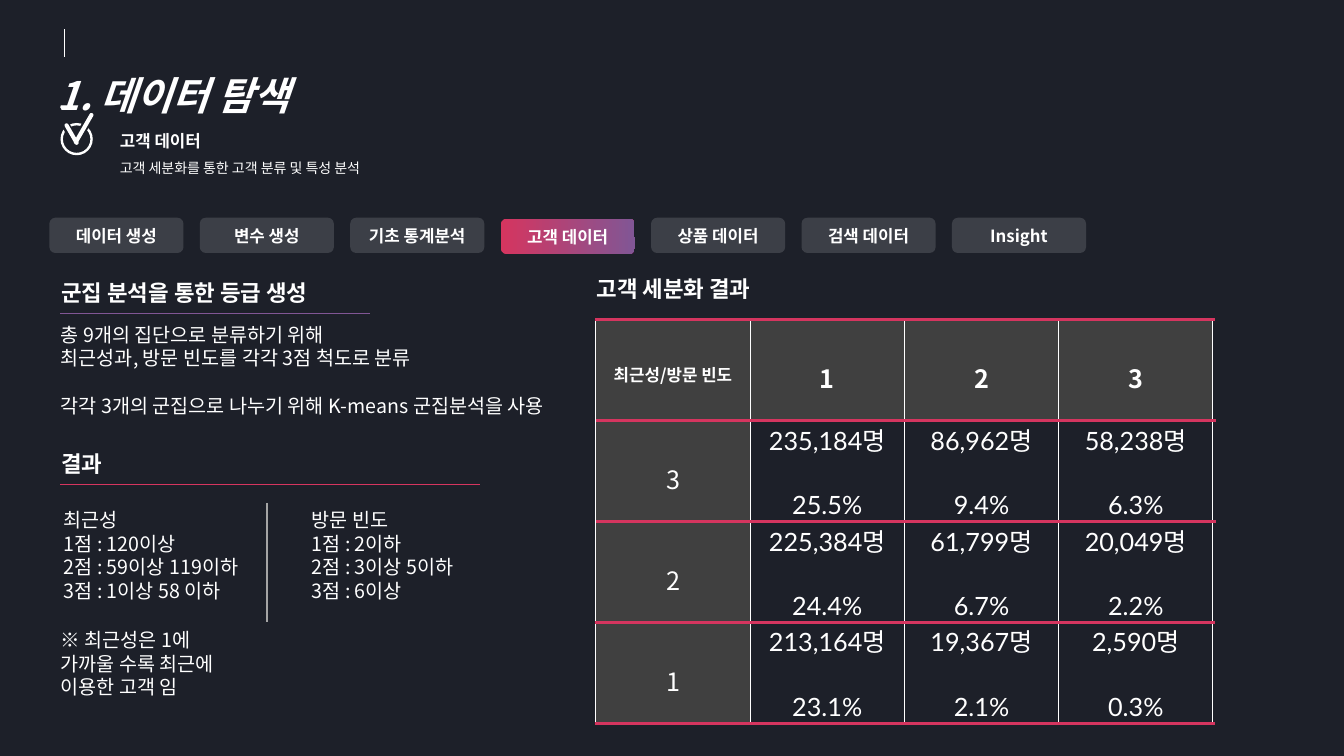
"""Build the customer data slide of the data exploration section."""
import pptx
import pptx.util
import pptx.dml.color
import pptx.enum.shapes
import pptx.enum.text
import pptx.oxml

Inches, Pt = pptx.util.Inches, pptx.util.Pt
KIND = pptx.enum.shapes.MSO_SHAPE
ALIGN = pptx.enum.text.PP_ALIGN
ANCHOR = pptx.enum.text.MSO_ANCHOR
NS = 'xmlns:a="http://schemas.openxmlformats.org/drawingml/2006/main"'


class Theme:
    """Colours, fonts and type sizes."""
    back, white, cell = "1D2029", "FFFFFF", "404040"
    red, plum, grey = "D5355F", "815695", "A5A5A5"
    sans, digit = "Noto Sans CJK KR", "Lato"
    title, num, head, body, tab, note = 28, 18, 16, 14, 12, 10


TITLE = "1. 데이터 탐색"
TOPIC = "고객 데이터"
NOTE = "고객 세분화를 통한 고객 분류 및 특성 분석"
TABS = ["데이터 생성", "변수 생성", "기초 통계분석", TOPIC,
        "상품 데이터", "검색 데이터", "Insight"]
HEADS = [
    ("군집 분석을 통한 등급 생성", (0.49, 2.67, 3.47, 0.46)),
    ("결과", (0.49, 4.37, 2.67, 0.46)),
    ("고객 세분화 결과", (5.8, 2.63, 3.47, 0.46)),
]
PLAN = ["총 9개의 집단으로 분류하기 위해",
        "최근성과, 방문 빈도를 각각 3점 척도로 분류",
        "각각 3개의 군집으로 나누기 위해 K-means 군집분석을 사용"]
NOTES = [
    (["최근성", "1점 : 120이상", "2점 : 59이상 119이하", "3점 : 1이상 58 이하"],
     (0.49, 4.97, 2.16, 1.08)),
    (["방문 빈도", "1점 : 2이하", "2점 : 3이상 5이하", "3점 : 6이상"],
     (2.95, 4.97, 2.02, 1.08)),
    (["※ 최근성은 1에", "가까울 수록 최근에 이용한 고객 임"],
     (0.46, 6.04, 2.16, 1.08)),
]
GRID = [
    ["최근성/방문 빈도", "1", "2", "3"],
    ["3", ("235,184명", "25.5%"), ("86,962명", "9.4%"), ("58,238명", "6.3%")],
    ["2", ("225,384명", "24.4%"), ("61,799명", "6.7%"), ("20,049명", "2.2%")],
    ["1", ("213,164명", "23.1%"), ("19,367명", "2.1%"), ("2,590명", "0.3%")],
]
RULES = [
    ((0.64, 0.29, 0.64, 0.57), Theme.white, 0.5),
    ((0.6, 3.11, 3.67, 3.11), Theme.plum, 0.5),
    ((0.6, 4.81, 4.76, 4.81), Theme.red, 0.5),
    ((2.65, 4.99, 2.65, 6.17), Theme.grey, 1.5),
]
CHECK = [
    ((0.6, 1.22, 0.32, 0.32), KIND.DONUT, 0.074, 0, Theme.white),
    ((0.6, 1, 0.08, 0.44), KIND.ROUNDED_RECTANGLE, 0.5, 330, Theme.back),
    ((0.82, 1, 0.08, 0.44), KIND.ROUNDED_RECTANGLE, 0.5, 30, Theme.back),
    ((0.81, 1.1, 0.04, 0.35), KIND.ROUNDED_RECTANGLE, 0.5, 30, Theme.white),
    ((0.69, 1.21, 0.04, 0.24), KIND.ROUNDED_RECTANGLE, 0.5, 330, Theme.white),
]


def paint(code):
    return pptx.dml.color.RGBColor.from_string(code)


def write(frame, lines, size=Theme.body, bold=False, slant=False,
          face=Theme.sans, align=ALIGN.LEFT, lead=1.2, gaps=None):
    """Fill a text frame; gaps maps a line index to its space before."""
    frame.word_wrap = True
    for i, line in enumerate(lines):
        para = frame.paragraphs[0] if i == 0 else frame.add_paragraph()
        para.alignment = align
        run = para.add_run()
        run.text, points = line if isinstance(line, tuple) else (line, size)
        para.line_spacing = Pt(round(points * lead, 1))
        if gaps and i in gaps:
            para.space_before = Pt(gaps[i])
        font = run.font
        font.size, font.name = Pt(points), face
        font.bold, font.italic = bold and i == 0, slant
        font.color.rgb = paint(Theme.white)
        props = run._r.get_or_add_rPr()
        props.append(pptx.oxml.parse_xml(f'<a:ea {NS} typeface="{Theme.sans}"/>'))


def shape(home, box, kind=KIND.ROUNDED_RECTANGLE, bend=None, fill=None):
    item = home.add_shape(kind, *map(Inches, box))
    item.shadow.inherit = False
    item.line.fill.background()
    if bend is not None:
        item.adjustments[0] = bend
    if fill:
        item.fill.solid()
        item.fill.fore_color.rgb = paint(fill)
    else:
        item.fill.background()
    item.text_frame.vertical_anchor = ANCHOR.MIDDLE
    return item


def rule(home, ends, tint, width):
    line = home.add_connector(pptx.enum.shapes.MSO_CONNECTOR.STRAIGHT,
                              *map(Inches, ends))
    line.line.color.rgb = paint(tint)
    line.line.width = Pt(width)
    line._element.spPr.append(pptx.oxml.parse_xml(f"<a:effectLst {NS}/>"))


def tabs(home):
    for i, name in enumerate(TABS):
        live = name == TOPIC
        box = (0.49 + 1.492 * i, 2.17 if live else 2.16, 1.33, 0.35)
        tab = shape(home, box, fill=Theme.white)
        if live:
            tab.fill.gradient()
            tab.fill.gradient_angle = 0
            for stop, tint in zip(tab.fill.gradient_stops, (Theme.red, Theme.plum)):
                stop.color.rgb = paint(tint)
        else:
            tint = tab._element.spPr.find(".//" + pptx.oxml.ns.qn("a:srgbClr"))
            tint.append(pptx.oxml.parse_xml(f'<a:alpha {NS} val="14000"/>'))
        write(tab.text_frame, [name], size=Theme.tab, bold=True, align=ALIGN.CENTER)


def table(home):
    frame = home.add_table(4, 4, *map(Inches, (5.91, 3.17, 6.12, 4)))
    grid = frame.table
    grid.first_row = grid.horz_banding = False
    for col in grid.columns:
        col.width = Inches(1.53)
    for r, row in enumerate(GRID):
        grid.rows[r].height = Inches(1)
        for c, item in enumerate(row):
            cell = grid.cell(r, c)
            props = cell._tc.get_or_add_tcPr()
            for side in "LRTB":
                props.append(pptx.oxml.parse_xml(
                    f'<a:ln{side} {NS} w="12700"><a:solidFill>'
                    f'<a:srgbClr val="{Theme.white}"/></a:solidFill></a:ln{side}>'))
            if isinstance(item, tuple):
                cell.fill.background()
                cell.margin_top, cell.margin_bottom = Inches(0.07), 0
                write(cell.text_frame, item, size=Theme.num, face=Theme.digit,
                      align=ALIGN.CENTER, gaps={1: 23})
                continue
            first = r == c == 0
            cell.fill.solid()
            cell.fill.fore_color.rgb = paint(Theme.cell)
            cell.vertical_anchor = ANCHOR.MIDDLE
            cell.margin_top = Inches(0.17 if first else 0.27)
            write(cell.text_frame, [item], size=Theme.tab if first else Theme.num,
                  bold=r == 0, align=ALIGN.CENTER)
    for r in range(5):
        left = 5.91 if r in (1, 2) else 5.9
        top = 3.17 + 1.0025 * r
        rule(home, (left, top, left + 6.15, top), Theme.red, 2)


def main():
    deck = pptx.Presentation()
    deck.slide_width, deck.slide_height = Inches(13.33), Inches(7.5)
    slide = deck.slides.add_slide(deck.slide_layouts[6])
    slide.background.fill.solid()
    slide.background.fill.fore_color.rgb = paint(Theme.back)
    home = slide.shapes

    topic = home.add_textbox(*map(Inches, (1.09, 1.15, 3.98, 0.66)))
    write(topic.text_frame, [TOPIC, (NOTE, Theme.note)], size=Theme.tab,
          bold=True, lead=1.8)
    title = home.add_textbox(*map(Inches, (0.46, 0.43, 4.63, 0.72)))
    write(title.text_frame, [TITLE], size=Theme.title, bold=True, slant=True, lead=1.8)

    group = home.add_group_shape()
    for box, kind, bend, turn, fill in CHECK:
        shape(group.shapes, box, kind, bend, fill).rotation = turn
    tabs(home)
    for ends, tint, width in RULES:
        rule(home, ends, tint, width)
    table(home)
    for text, box in HEADS:
        write(shape(home, box, bend=0.137).text_frame, [text],
              size=Theme.head, bold=True)
    plan = shape(home, (0.46, 3.13, 5.71, 1.08), bend=0.137)
    write(plan.text_frame, PLAN, gaps={2: 16.8})
    for lines, box in NOTES:
        write(shape(home, box, bend=0.137).text_frame, lines)
    deck.save("out.pptx")


if __name__ == "__main__":
    main()
